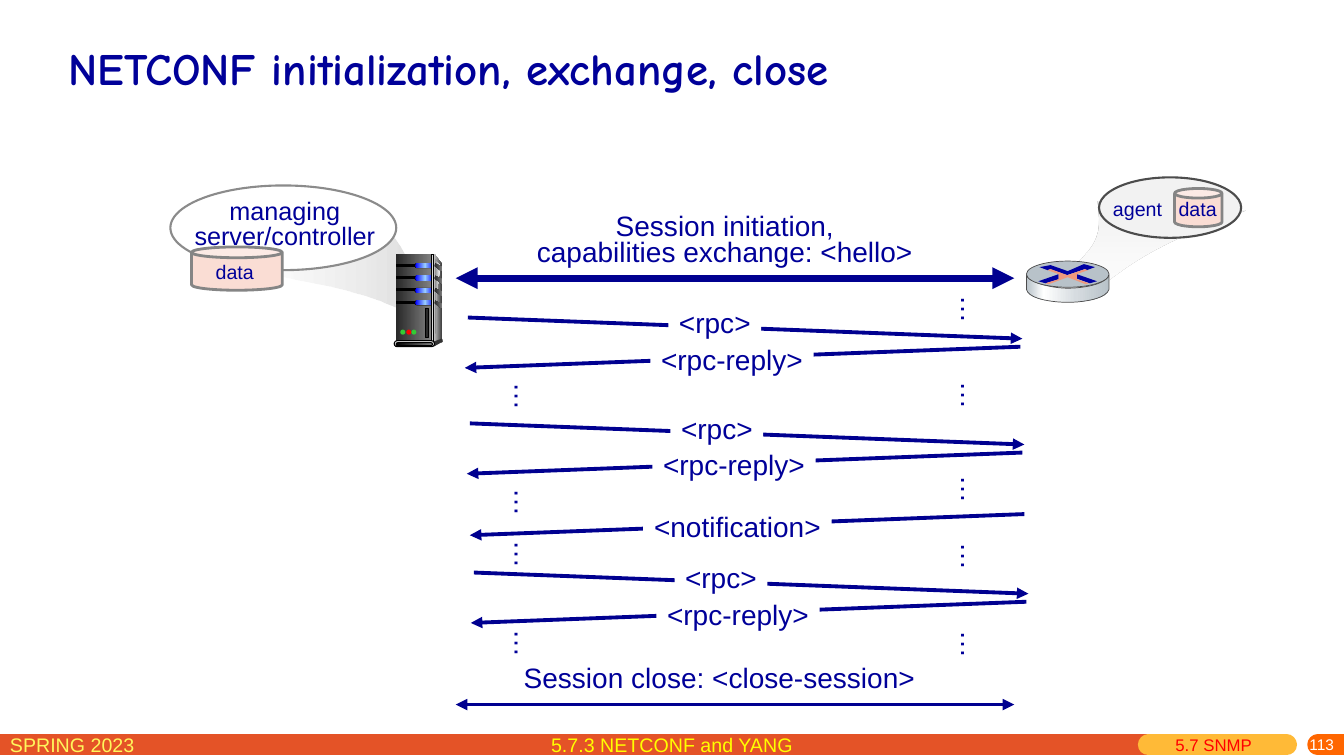
"""Build the slide on NETCONF session initialization, exchange and close."""
from dataclasses import dataclass
from typing import NamedTuple, Optional, Union

from lxml import etree
from pptx import Presentation
from pptx import util as u
from pptx.dml.color import RGBColor
from pptx.enum import dml, shapes, text
from pptx.oxml import ns

NAVY = RGBColor(0x00, 0x00, 0x99)
ARROW_BLUE = RGBColor(0x00, 0x00, 0x90)
CROSS_BLUE = RGBColor(0x00, 0x00, 0xA3)
BLUE = RGBColor(0x00, 0x00, 0xFF)
SKY = RGBColor(0x99, 0xCC, 0xFF)
WHITE = RGBColor(0xFF, 0xFF, 0xFF)
BLACK = RGBColor(0x00, 0x00, 0x00)
COAL = RGBColor(0x29, 0x29, 0x29)
DARK = RGBColor(0x33, 0x33, 0x33)
SLATE = RGBColor(0x4C, 0x4C, 0x4C)
GRAY = RGBColor(0x80, 0x80, 0x80)
CAN_EDGE = RGBColor(0x85, 0x85, 0x85)
BUBBLE_EDGE = RGBColor(0x8B, 0x8B, 0x8B)
STEEL = RGBColor(0xB8, 0xC2, 0xC9)
PALE_STEEL = RGBColor(0xD6, 0xDC, 0xE0)
BEAM_GRAY = RGBColor(0xD9, 0xD9, 0xD9)
SILVER = RGBColor(0xDD, 0xDD, 0xDD)
MIST = RGBColor(0xF2, 0xF2, 0xF2)
PINK = RGBColor(0xFA, 0xDD, 0xD4)
SALMON = RGBColor(0xEF, 0x98, 0x7D)
GREEN = RGBColor(0x33, 0xCC, 0x33)
RED = RGBColor(0xFF, 0x00, 0x00)
YELLOW = RGBColor(0xFF, 0xFF, 0x00)
PALE_YELLOW = RGBColor(0xFF, 0xF6, 0x5C)
BAR_RED = RGBColor(0xE4, 0x53, 0x27)
BAR_AMBER = RGBColor(0xFF, 0xBA, 0x37)
BAR_ORANGE = RGBColor(0xFF, 0x66, 0x00)

CM_PER_INCH = 2.54
CURVE_STEPS = 10
PRESET = shapes.MSO_SHAPE
CENTER, LEFT, RIGHT = text.PP_ALIGN.CENTER, text.PP_ALIGN.LEFT, text.PP_ALIGN.RIGHT


class Stop(NamedTuple):
    at: int
    color: RGBColor
    opacity: int = 100


class Gradient(NamedTuple):
    stops: tuple
    angle: int = 0


class Message(NamedTuple):
    label: str
    start: float
    end: float
    top: float
    left: float
    width: float
    lift: float


Fill = Union[RGBColor, Gradient]
METAL = Gradient((Stop(0, COAL), Stop(100, GRAY)))
GLOW = Gradient((Stop(0, BLUE), Stop(50, SKY), Stop(100, BLUE)))


@dataclass
class Part:
    """A filled part, given by a preset and box or by an outline of points and curves."""
    fill: Fill
    preset: Optional[PRESET] = None
    box: tuple = ()
    outline: tuple = ()
    edge: Optional[RGBColor] = None
    weight: float = 0.75


def length(inches: float) -> int:
    """Return a slide length."""
    return u.Cm(inches * CM_PER_INCH)


def flatten(outline: tuple) -> list:
    """Turn points and cubic curves into a list of points."""
    points = [outline[0]]
    for step in outline[1:]:
        if len(step) == 2:
            points.append(step)
            continue
        controls = (points[-1], step[:2], step[2:4], step[4:])
        for i in range(1, CURVE_STEPS + 1):
            t = i / CURVE_STEPS
            weights = ((1 - t) ** 3, 3 * t * (1 - t) ** 2, 3 * t * t * (1 - t), t ** 3)
            points.append(tuple(sum(w * c[axis] for w, c in zip(weights, controls))
                                for axis in (0, 1)))
    return [(length(x), length(y)) for x, y in points]


def paint(shape, fill: Fill) -> None:
    """Fill a shape with a colour or a gradient."""
    if isinstance(fill, RGBColor):
        shape.fill.solid()
        shape.fill.fore_color.rgb = fill
        return
    shape.fill.gradient()
    shape.fill.gradient_angle = fill.angle
    stop_list = shape._element.spPr.find(".//" + ns.qn("a:gsLst"))
    for old in list(stop_list):
        stop_list.remove(old)
    for stop in fill.stops:
        entry = etree.SubElement(stop_list, ns.qn("a:gs"), pos=str(stop.at * 1000))
        color = etree.SubElement(entry, ns.qn("a:srgbClr"), val=str(stop.color))
        if stop.opacity < 100:
            etree.SubElement(color, ns.qn("a:alpha"), val=str(stop.opacity * 1000))


def draw_part(slide, part: Part) -> None:
    """Draw one filled part."""
    if part.outline:
        points = flatten(part.outline)
        builder = slide.shapes.build_freeform(*points[0], scale=1.0)
        builder.add_line_segments(points[1:], close=True)
        shape = builder.convert_to_shape()
    else:
        shape = slide.shapes.add_shape(part.preset, *map(length, part.box))
        if part.preset == PRESET.ROUNDED_RECTANGLE:
            shape.adjustments[0] = 0.5
    shape.shadow.inherit = False
    paint(shape, part.fill)
    if part.edge is None:
        shape.line.fill.background()
    else:
        shape.line.color.rgb = part.edge
        shape.line.width = u.Pt(part.weight)


def draw_line(slide, start: tuple, end: tuple, color: RGBColor, weight: float,
              arrows: tuple = (), cap: str = "flat") -> None:
    """Draw a line with optional arrowheads."""
    line = slide.shapes.add_connector(shapes.MSO_CONNECTOR.STRAIGHT,
                                      *map(length, start + end))
    line.line.color.rgb = color
    line.line.width = u.Pt(weight)
    outline = line.line._get_or_add_ln()
    outline.set("cap", cap)
    for tip in arrows:
        etree.SubElement(outline, ns.qn(f"a:{tip}"), type="triangle")
    etree.SubElement(line._element.spPr, ns.qn("a:effectLst"))


def draw_text(slide, words: str, box: tuple, size: int = 20, color: RGBColor = NAVY,
              align=CENTER, spacing: float = 1.0, wrap: bool = False,
              rotation: int = 0, fill: Optional[RGBColor] = None):
    """Write a text box and return its frame."""
    label = slide.shapes.add_textbox(*map(length, box))
    label.rotation = rotation
    if fill is not None:
        paint(label, fill)
    frame = label.text_frame
    frame.text = words
    frame.word_wrap = wrap
    frame.auto_size = text.MSO_AUTO_SIZE.NONE if wrap else text.MSO_AUTO_SIZE.SHAPE_TO_FIT_TEXT
    for paragraph in frame.paragraphs:
        paragraph.alignment = align
        paragraph.line_spacing = spacing
        for run in paragraph.runs:
            run.font.name, run.font.size, run.font.color.rgb = "Arial", u.Pt(size), color
    return frame


def draw_footer(slide) -> None:
    """Draw the bar and its captions."""
    for start, end, color, cap in ((0, 11.39, BAR_RED, "flat"), (11.39, 12.76, BAR_AMBER, "rnd"),
                                   (13.07, 13.33, BAR_ORANGE, "rnd")):
        draw_line(slide, (start, 7.39), (end, 7.39), color, 15, cap=cap)
    draw_text(slide, "SPRING 2023", (0, 7.22, 2.29, 0.31), 14, PALE_YELLOW, LEFT, wrap=True)
    number = draw_text(slide, "113", (10.75, 7.32, 2.58, 0.18), 11, WHITE, RIGHT, wrap=True)
    number.margin_top = 0
    number.vertical_anchor = text.MSO_ANCHOR.MIDDLE
    draw_text(slide, "5.7 SNMP", (11.56, 7.24, 1.1, 0.31), 12, RED, LEFT, wrap=True)
    draw_text(slide, "5.7.3 NETCONF and YANG", (3.71, 7.22, 5.91, 0.34), 14, YELLOW, wrap=True)


def draw_session(slide) -> None:
    """Draw the messages between controller and agent."""
    for y, weight, words, box in (
            (2.76, 5.25, "Session initiation,\ncapabilities exchange: <hello>", (5.21, 2.08, 3.96, 0.64)),
            (6.99, 2.75, "Session close: <close-session>", (5.04, 6.57, 4.19, 0.37))):
        draw_line(slide, (4.52, y), (10.06, y), ARROW_BLUE, weight, ("headEnd", "tailEnd"))
        draw_text(slide, words, box, spacing=0.8)
    messages = [Message("<notification>", 10.16, 4.66, 5.1, 6.38, 1.87, 0.03)]
    for dx, dy in ((0, 0), (0.02, 1.05), (0.06, 2.53)):
        messages += [
            Message("<rpc>", 4.64 + dx, 10.14 + dx, 3.15 + dy, 6.63 + dx, 0.92, 0.1),
            Message("<rpc-reply>", 10.12 + dx, 4.61 + dx, 3.44 + dy, 6.45 + dx, 1.62, 0.03)]
    for m in messages:
        draw_line(slide, (m.start, m.top), (m.end, m.top + 0.21), ARROW_BLUE, 2.75, ("tailEnd",))
        draw_text(slide, m.label, (m.left, m.top - m.lift, m.width, 0.37), spacing=0.8, fill=WHITE)
    for left, tops in ((9.4, (2.85, 3.71, 4.64, 5.3, 6.18)), (4.97, (3.72, 4.77, 5.28, 6.17))):
        for top in tops:
            draw_text(slide, "…", (left, top, 0.48, 0.44), align=LEFT, rotation=90)


def draw_callouts(slide) -> None:
    """Draw the controller and agent bubbles with their data stores."""
    beam = Gradient((Stop(0, WHITE, 56), Stop(100, BEAM_GRAY)))
    agent_beam = Gradient((Stop(0, WHITE, 72), Stop(99, MIST)), 90)
    for part in (
            Part(beam, outline=((4.26, 2.75), (4.02, 2.66, 4.06, 2.55, 3.88, 2.32),
                                (3.57, 2.59, 3.35, 2.64, 2.4, 2.68),
                                (3.74, 2.9, 3.69, 2.96, 4.35, 3.23))),
            Part(WHITE, PRESET.OVAL, (1.69, 1.84, 2.24, 0.84), edge=BUBBLE_EDGE, weight=1.5),
            Part(agent_beam, outline=((10.58, 2.7), (10.93, 2.41, 10.92, 2.31, 10.89, 2), (12.35, 2.09),
                                      (11.48, 2.43, 11.27, 2.55, 10.76, 2.97))),
            Part(MIST, PRESET.OVAL, (10.9, 1.76, 1.41, 0.6), edge=SLATE, weight=1.5)):
        draw_part(slide, part)
    draw_text(slide, "managing\nserver/controller", (1.82, 1.93, 2.01, 0.62), 18, spacing=0.85)
    for can in ((1.9, 2.45, 0.9, 0.43), (11.65, 1.87, 0.47, 0.38)):
        draw_part(slide, Part(PINK, PRESET.CAN, can, edge=CAN_EDGE, weight=2))
    for words, box in (("data", (2.04, 2.53, 0.59, 0.34)), ("agent", (10.94, 1.9, 0.69, 0.34)),
                       ("data", (11.59, 1.9, 0.58, 0.34))):
        draw_text(slide, words, box, 14, align=LEFT)


def draw_server(slide) -> None:
    """Draw the managing server."""
    rect, pill, oval = PRESET.RECTANGLE, PRESET.ROUNDED_RECTANGLE, PRESET.OVAL
    parts = [
        Part(Gradient((Stop(0, SILVER), Stop(100, DARK))),
             outline=((4.31, 2.52), (4.39, 2.63), (4.38, 3.36), (4.29, 3.4))),
        Part(METAL, rect, (3.93, 2.52, 0.35, 0.88)),
        Part(Gradient((Stop(0, GRAY), Stop(100, WHITE))),
             outline=((4.31, 2.57), (4.37, 2.64), (4.31, 2.96, 4.32, 3.39, 4.31, 3.37)))]
    for bay in range(4):
        top = 2.61 + 0.123 * bay
        parts += [
            Part(BLACK, rect, (3.93, top + 0.01, 0.2, 0.02), edge=BLACK),
            Part(BLACK, pill, (4.11, top, 0.2, 0.05)),
            Part(GLOW, pill, (4.12, top, 0.19, 0.05)),
            Part(METAL, outline=((4.31, top), (4.39, top + 0.04), (4.38, top + 0.08), (4.31, top + 0.03)))]
    parts += [
        Part(Gradient((Stop(0, DARK), Stop(50, SILVER), Stop(100, DARK))), rect,
             (4.28, 2.52, 0.02, 0.88), edge=BLACK),
        Part(DARK, oval, (4.37, 3.36, 0.02, 0.04)),
        Part(DARK, outline=((4.3, 3.39), (4.3, 3.44), (4.39, 3.39), (4.38, 3.36))),
        Part(SILVER, pill, (3.91, 3.38, 0.4, 0.06), edge=BLACK),
        Part(Gradient((Stop(0, BLACK), Stop(100, GRAY))), pill, (3.93, 3.4, 0.36, 0.03), edge=BLACK),
        Part(COAL, rect, (4.22, 3.06, 0.03, 0.29), edge=BLACK)]
    parts += [Part(color, oval, (left, 3.27, 0.05, 0.05))
              for left, color in ((3.97, GREEN), (4.03, RED), (4.08, GREEN))]
    for part in parts:
        draw_part(slide, part)


def draw_router(slide) -> None:
    """Draw the managed router."""
    side = Gradient((Stop(0, STEEL), Stop(21, WHITE), Stop(60, PALE_STEEL), Stop(100, STEEL)))
    for part in (
            Part(side, outline=((11, 2.73), (11, 2.87), (10.97, 2.97, 10.73, 3, 10.59, 3),
                                (10.45, 3, 10.2, 2.97, 10.18, 2.87), (10.18, 2.73),
                                (10.21, 2.81, 10.45, 2.86, 10.59, 2.86),
                                (10.72, 2.86, 10.96, 2.83, 11, 2.73)), edge=SLATE, weight=0.5),
            Part(STEEL, PRESET.OVAL, (10.18, 2.59, 0.82, 0.26), edge=SLATE, weight=0.5),
            Part(CROSS_BLUE, outline=((10.75, 2.62), (10.86, 2.65), (10.78, 2.68), (10.76, 2.67),
                                      (10.58, 2.73), (10.42, 2.67), (10.39, 2.68), (10.31, 2.65),
                                      (10.42, 2.63), (10.59, 2.69))),
            Part(CROSS_BLUE, outline=((10.68, 2.72), (10.88, 2.79), (10.81, 2.81), (10.67, 2.76))),
            Part(CROSS_BLUE, outline=((10.5, 2.72), (10.5, 2.77), (10.37, 2.81), (10.3, 2.79))),
            Part(SALMON, outline=((10.39, 2.68), (10.42, 2.67), (10.59, 2.73), (10.76, 2.67),
                                  (10.79, 2.68), (10.68, 2.72), (10.68, 2.77), (10.8, 2.81),
                                  (10.77, 2.82), (10.59, 2.75), (10.4, 2.82), (10.37, 2.81),
                                  (10.5, 2.77), (10.5, 2.72)))):
        draw_part(slide, part)


def draw_title(slide) -> None:
    """Place and format the title."""
    title = slide.shapes.title
    title.left, title.top, title.width, title.height = map(length, (0.58, 0.28, 12.18, 0.79))
    frame = title.text_frame
    frame.text = "NETCONF initialization, exchange, close"
    frame.auto_size = text.MSO_AUTO_SIZE.NONE
    frame.vertical_anchor = text.MSO_ANCHOR.MIDDLE
    frame.paragraphs[0].alignment = LEFT
    font = frame.paragraphs[0].runs[0].font
    font.name, font.size, font.bold, font.color.rgb = "Comic Neue", u.Pt(32), True, NAVY


def main() -> None:
    """Build and save the presentation."""
    deck = Presentation()
    deck.slide_width, deck.slide_height = length(13.33), length(7.5)
    slide = deck.slides.add_slide(deck.slide_layouts[5])
    for draw in (draw_title, draw_footer, draw_session, draw_callouts, draw_server, draw_router):
        draw(slide)
    deck.save("out.pptx")


if __name__ == "__main__":
    main()
